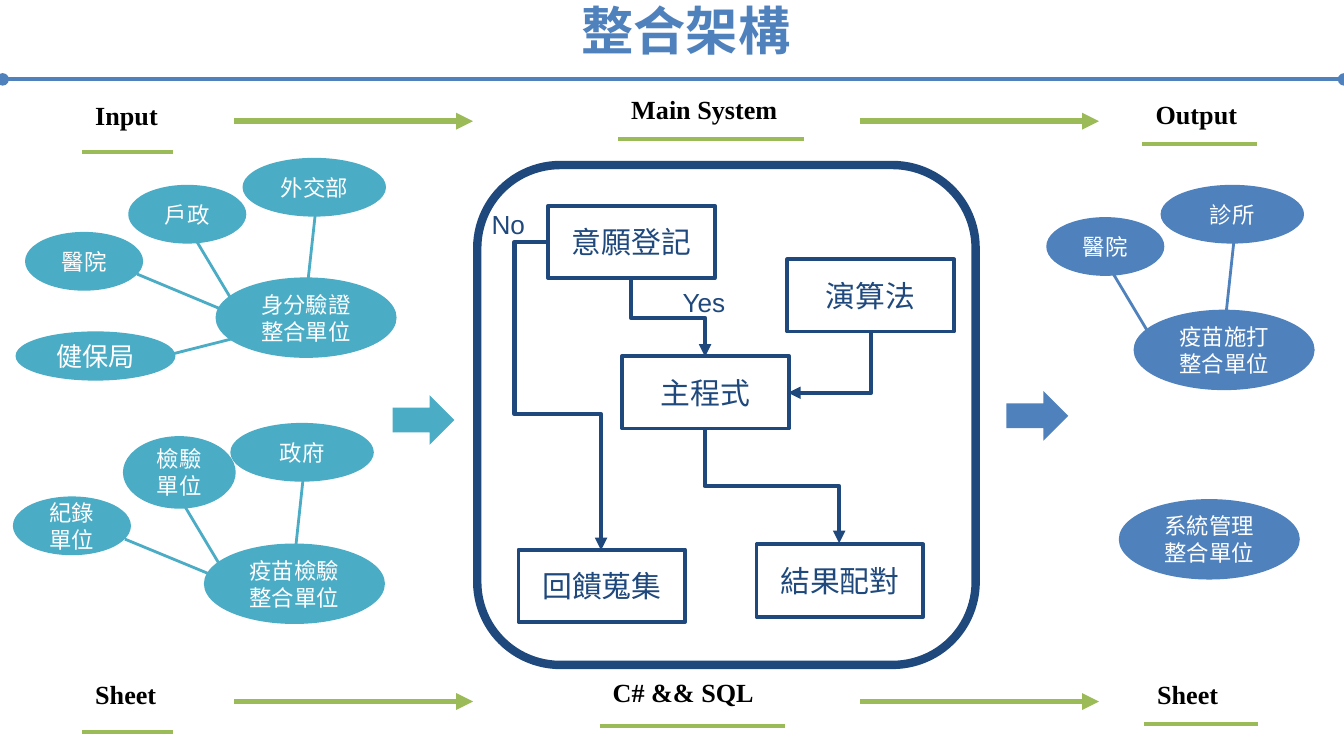
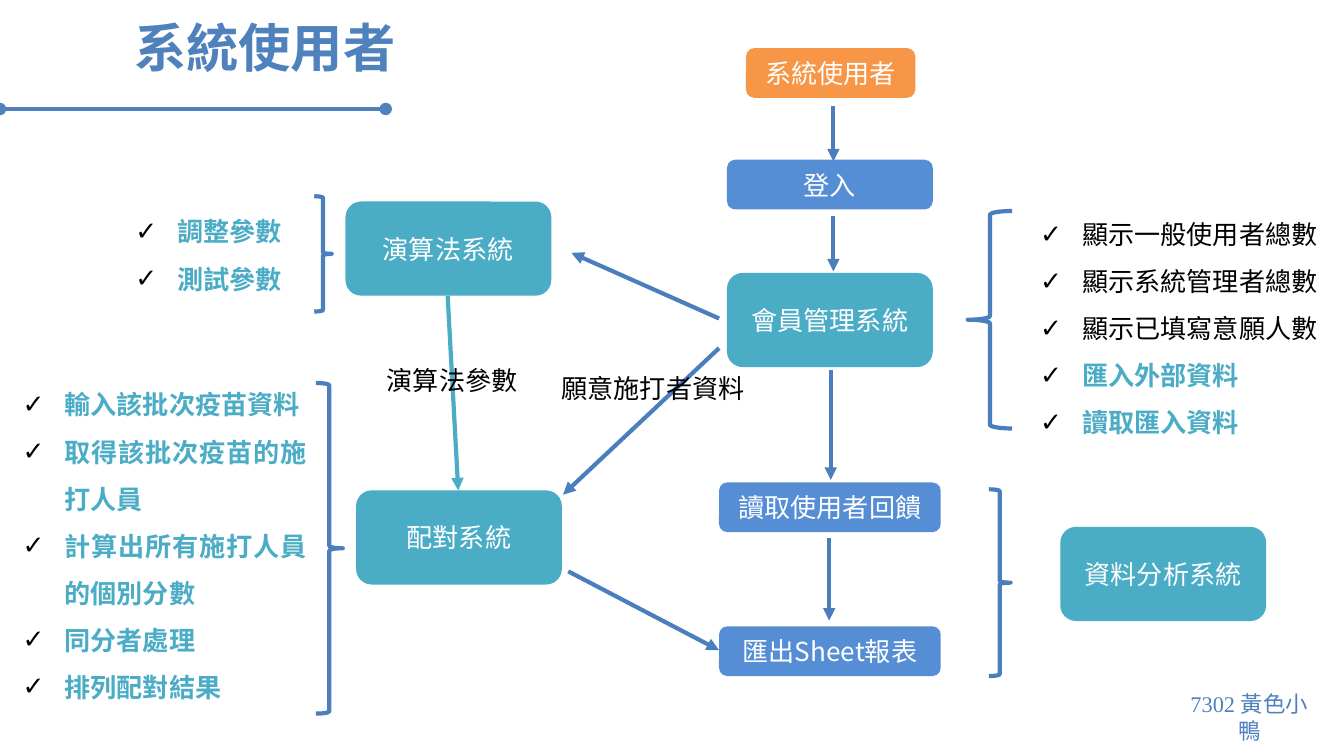
from lxml import etree
from pptx import Presentation
from pptx.dml.color import RGBColor
from pptx.enum import shapes, text
from pptx.oxml.ns import qn
from pptx.util import Cm, Pt

WHITE = RGBColor(0xFF, 0xFF, 0xFF)
BLACK = RGBColor(0, 0, 0)
BLUE = RGBColor(0x4F, 0x81, 0xBD)
FLOW = RGBColor(0x4B, 0x7E, 0xBC)
STEP = RGBColor(0x55, 0x8E, 0xD5)
NAVY = RGBColor(0x1F, 0x49, 0x7D)
TEAL = RGBColor(0x4B, 0xAC, 0xC6)
GREEN = RGBColor(0x9B, 0xBB, 0x59)
ORANGE = RGBColor(0xF7, 0x96, 0x46)
SANS, TITLE_FONT = "Noto Sans CJK SC", "Noto Sans CJK TC"
SERIF, ARIAL = "Times New Roman", "Arial"
SHAPE, LINK = shapes.MSO_SHAPE, shapes.MSO_CONNECTOR
CENTER, JUSTIFY = text.PP_ALIGN.CENTER, text.PP_ALIGN.JUSTIFY
TITLE = dict(size=28, color=BLUE, font=TITLE_FONT, bold=True, spacing=0.9)


def put(s, words, x, y, w, h, kind=None, fill=None, line=None, width=2, size=14,
        color=BLACK, font=SANS, asian=None, bold=False, align=None, spacing=None,
        check=False):
    box = Cm(x), Cm(y), Cm(w), Cm(h)
    if kind is None:
        sp = s.shapes.add_textbox(*box)
    else:
        sp = s.shapes.add_shape(kind, *box)
        sp.shadow.inherit = False
        if fill is None:
            sp.fill.background()
        else:
            sp.fill.solid()
            sp.fill.fore_color.rgb = fill
        if line is None:
            sp.line.fill.background()
        else:
            sp.line.color.rgb = line
            sp.line.width = Pt(width)
        sp.text_frame.vertical_anchor = text.MSO_ANCHOR.MIDDLE
        align = CENTER
    if not words:
        return sp
    tf = sp.text_frame
    tf.word_wrap = True
    for i, item in enumerate(words.split("\n")):
        p = tf.add_paragraph() if i else tf.paragraphs[0]
        if check:
            pPr = p._p.get_or_add_pPr()
            pPr.set("marL", str(Cm(0.79)))
            pPr.set("indent", str(-Cm(0.79)))
            clr = etree.SubElement(pPr, qn("a:buClr"))
            etree.SubElement(clr, qn("a:srgbClr"), val=str(BLACK))
            etree.SubElement(pPr, qn("a:buFont"), typeface=ARIAL)
            etree.SubElement(pPr, qn("a:buChar"), char="✓")
        p.alignment = align
        p.line_spacing = spacing
        r = p.add_run()
        r.text = item
        r.font.size = Pt(size)
        r.font.bold = bold
        r.font.color.rgb = color
        r.font.name = font
        ea = etree.SubElement(r._r.get_or_add_rPr(), qn("a:ea"))
        ea.set("typeface", asian or font)
    return sp


def link(s, x1, y1, x2, y2, color, width=2.25, head=None, tail="triangle",
         kind=LINK.STRAIGHT):
    c = s.shapes.add_connector(kind, Cm(x1), Cm(y1), Cm(x2), Cm(y2))
    c.line.color.rgb = color
    c.line.width = Pt(width)
    spPr = c._element.spPr
    ln = spPr.find(qn("a:ln"))
    for tag, end in (("a:headEnd", head), ("a:tailEnd", tail)):
        if end:
            etree.SubElement(ln, qn(tag), type=end)
    etree.SubElement(spPr, qn("a:effectLst"))
    return c


prs = Presentation()
prs.slide_width, prs.slide_height = Cm(25.4), Cm(14.29)

s = prs.slides.add_slide(prs.slide_layouts[6])

BIG, WIDE, SMALL = (3.35, 1.45), (2.64, 1.04), (2.16, 1.04)
units = [
    (TEAL, [
        ("疫苗檢驗整合單位", 3.89, 10.31, BIG),
        ("檢驗單位", 2.36, 8.28, (2.06, 1.3)),
        ("紀錄單位", 0.28, 9.42, SMALL),
        ("政府", 4.39, 8.03, WIDE),
        ("身分驗證整合單位", 4.11, 5.28, BIG),
        ("戶政", 2.46, 3.53, SMALL),
        ("醫院", 0.51, 4.42, SMALL),
        ("外交部", 4.62, 3.02, WIDE),
    ], [
        (2.36, 10.19, 4.37, 11.02),
        (3.48, 9.55, 4.27, 10.87),
        (5.74, 8.94, 5.56, 10.62),
        (2.59, 5.18, 4.6, 6.02),
        (3.71, 4.55, 4.5, 5.87),
        (5.97, 3.94, 5.79, 5.59),
        (3.1, 6.73, 4.8, 6.3),
    ]),
    (BLUE, [
        ("疫苗施打整合單位", 21.46, 5.89, BIG),
        ("醫院", 19.81, 4.14, SMALL),
        ("診所", 21.97, 3.53, WIDE),
        ("系統管理整合單位", 21.18, 9.47, BIG),
    ], [
        (21.03, 5.16, 21.82, 6.48),
        (23.32, 4.55, 23.14, 6.22),
    ]),
]
put(s, "健保局", 0.33, 6.3, 2.95, 0.86, SHAPE.OVAL, TEAL, TEAL, color=WHITE, font=ARIAL)
for color, ovals, spokes in units:
    for name, x, y, size in ovals:
        put(s, name, x, y, *size, SHAPE.OVAL, color, color, size=12, color=WHITE)
    for ends in spokes:
        link(s, *ends, color, 1.5)

put(s, "", 9.02, 3.12, 9.42, 9.45, SHAPE.ROUNDED_RECTANGLE, line=NAVY, width=4.5)
for name, x, y in [
    ("意願登記", 10.36, 3.89),
    ("主程式", 11.76, 6.73),
    ("結果配對", 14.3, 10.29),
    ("回饋蒐集", 9.8, 10.39),
    ("演算法", 14.88, 4.9),
]:
    put(s, name, x, y, 3.15, 1.37, SHAPE.RECTANGLE, line=NAVY, size=16, color=NAVY)

for ends, turn, preset, adjust in [
    ((13.36, 5.31, 11.89, 6.71), 270, "bentConnector3", [50000]),
    ((11.36, 10.4, 10.36, 4.57), 180, "bentConnector4", [-63500, 55900]),
    ((15.67, 7.92, 13.51, 10.46), 270, "bentConnector3", [50000]),
    ((15.11, 6.07, 16.25, 7.64), 90, "bentConnector2", []),
]:
    c = link(s, *ends, NAVY, kind=LINK.ELBOW)
    spPr = c._element.spPr
    spPr.find(qn("a:xfrm")).set("rot", str(turn * 60000))
    geom = spPr.find(qn("a:prstGeom"))
    geom.set("prst", preset)
    guides = geom.find(qn("a:avLst"))
    for i, value in enumerate(adjust, 1):
        etree.SubElement(guides, qn("a:gd"), name=f"adj{i}", fmla=f"val {value}")

for answer, x, y in [("Yes", 12.65, 5.28), ("No", 9.04, 3.81)]:
    put(s, answer, x, y, 1.52, 0.76, color=NAVY, font=ARIAL)

put(s, "整合架構", 10.74, -0.03, 4.67, 1.22, **TITLE)
link(s, 0.05, 1.5, 25.4, 1.5, BLUE, head="oval", tail="oval")
for x, y, color in [(7.42, 7.47, TEAL), (19.02, 7.39, BLUE)]:
    put(s, "", x, y, 1.17, 0.94, SHAPE.RIGHT_ARROW, color)

for name, x, y, w, rule_y in [
    ("Input", 1.55, 1.75, 1.72, 2.87),
    ("Main System", 11.68, 1.65, 3.51, 2.62),
    ("Output", 21.59, 1.73, 2.16, 2.72),
    ("Sheet", 1.55, 12.7, 1.72, 13.84),
    ("C# && SQL", 11.33, 12.67, 3.51, 13.72),
    ("Sheet", 21.62, 12.7, 2.16, 13.69),
]:
    link(s, x, rule_y, x + w, rule_y, GREEN, tail=None)
    put(s, name, x, y, w, 0.87, font=SERIF, bold=True)
for y in (2.29, 13.26):
    for x in (4.43, 16.26):
        link(s, x, y, x + 4.51, y, GREEN, 3)

s = prs.slides.add_slide(prs.slide_layouts[6])

for name, x, y, w, h, color in [
    ("系統使用者", 14.1, 0.91, 3.2, 0.94, ORANGE),
    ("登入", 13.74, 3.02, 3.89, 0.94, STEP),
    ("會員管理系統", 13.74, 5.16, 3.89, 1.78, TEAL),
    ("讀取使用者回饋", 13.59, 9.12, 4.19, 0.94, STEP),
    ("匯出Sheet報表", 13.59, 11.84, 4.19, 0.94, STEP),
    ("資料分析系統", 20.04, 9.96, 3.89, 1.78, TEAL),
    ("演算法系統", 6.53, 3.81, 3.89, 1.78, TEAL),
    ("配對系統", 6.73, 9.27, 3.89, 1.78, TEAL),
]:
    put(s, name, x, y, w, h, SHAPE.ROUNDED_RECTANGLE, color, color=WHITE)

for ends in [
    (15.75, 2.01, 15.75, 3.05),
    (15.75, 4.09, 15.75, 5.13),
    (15.7, 6.99, 15.7, 9.07),
    (15.67, 10.16, 15.67, 11.73),
    (13.59, 6.02, 10.8, 4.78),
    (13.59, 6.58, 10.64, 9.35),
    (10.74, 10.8, 13.59, 12.29),
]:
    link(s, *ends, FLOW)
link(s, 8.46, 5.59, 8.66, 9.27, TEAL)

for kind, *box in [
    (SHAPE.LEFT_BRACE, 18.29, 3.99, 0.84, 4.11),
    (SHAPE.RIGHT_BRACE, 18.69, 9.25, 0.41, 3.53),
    (SHAPE.RIGHT_BRACE, 5.94, 3.71, 0.33, 2.18),
    (SHAPE.RIGHT_BRACE, 5.97, 7.24, 0.51, 6.25),
]:
    put(s, "", *box, kind, line=FLOW, width=2.25)

put(s, "演算法參數", 7.06, 6.76, 3.12, 0.86)
put(s, "願意施打者資料", 10.36, 6.91, 4.06, 0.86)

for items, plain, *box in [
    ("顯示一般使用者總數\n顯示系統管理者總數\n顯示已填寫意願人數\n匯入外部資料\n讀取匯入資料",
     3, 19.41, 3.71, 5.8, 4.62),
    ("調整參數\n測試參數", 0, 2.31, 3.66, 3.58, 1.93),
    ("輸入該批次疫苗資料\n取得該批次疫苗的施打人員\n計算出所有施打人員的個別分數\n同分者處理\n排列配對結果",
     0, 0.18, 6.93, 5.87, 6.43),
]:
    sp = put(s, items, *box, color=TEAL, bold=True, align=JUSTIFY, spacing=1.5, check=True)
    for p in sp.text_frame.paragraphs[:plain]:
        p.runs[0].font.color.rgb = BLACK
        p.runs[0].font.bold = False

link(s, 0, 2.06, 7.29, 2.06, BLUE, head="oval", tail="oval")
put(s, "系統使用者", 2.29, 0.3, 5.54, 0.91, **TITLE)
put(s, "7302 黃色小鴨", 22.05, 12.93, 3.12, 0.76, size=12, color=BLUE, font=SERIF,
    asian=SANS, align=CENTER)

prs.save("out.pptx")
